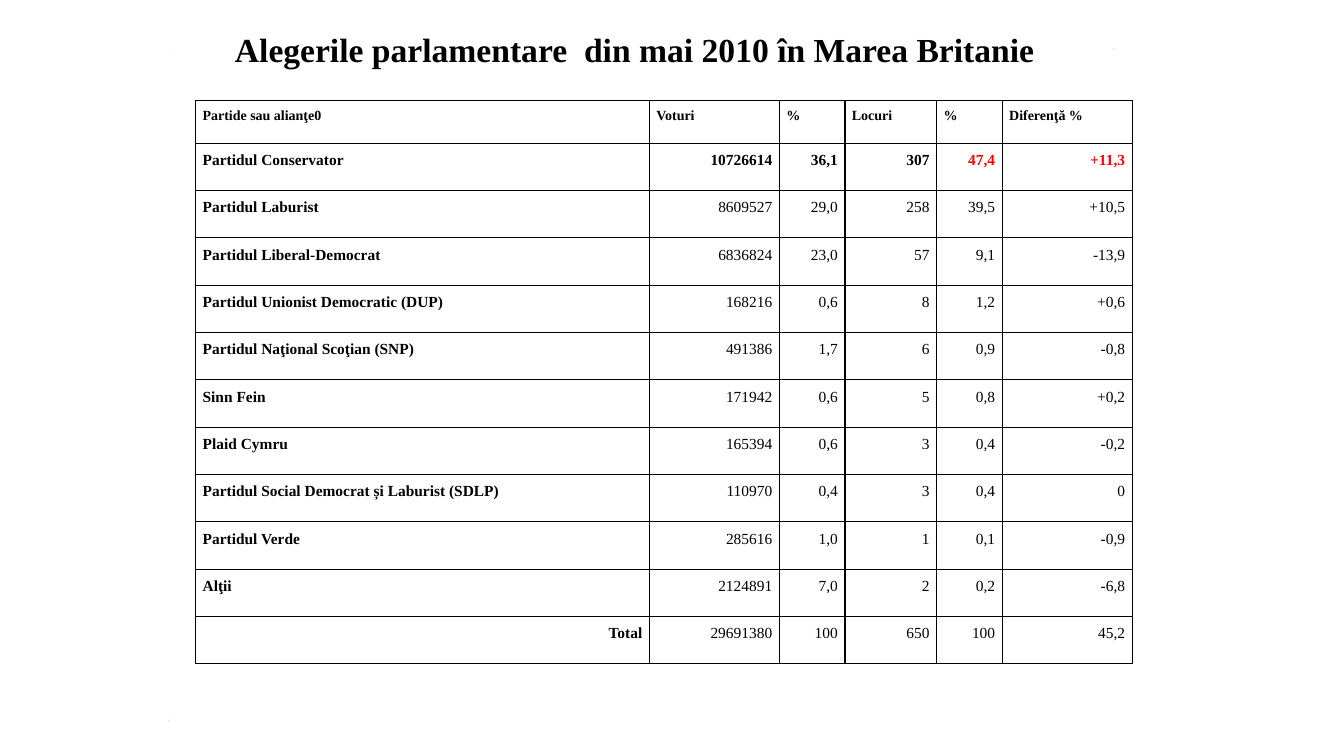
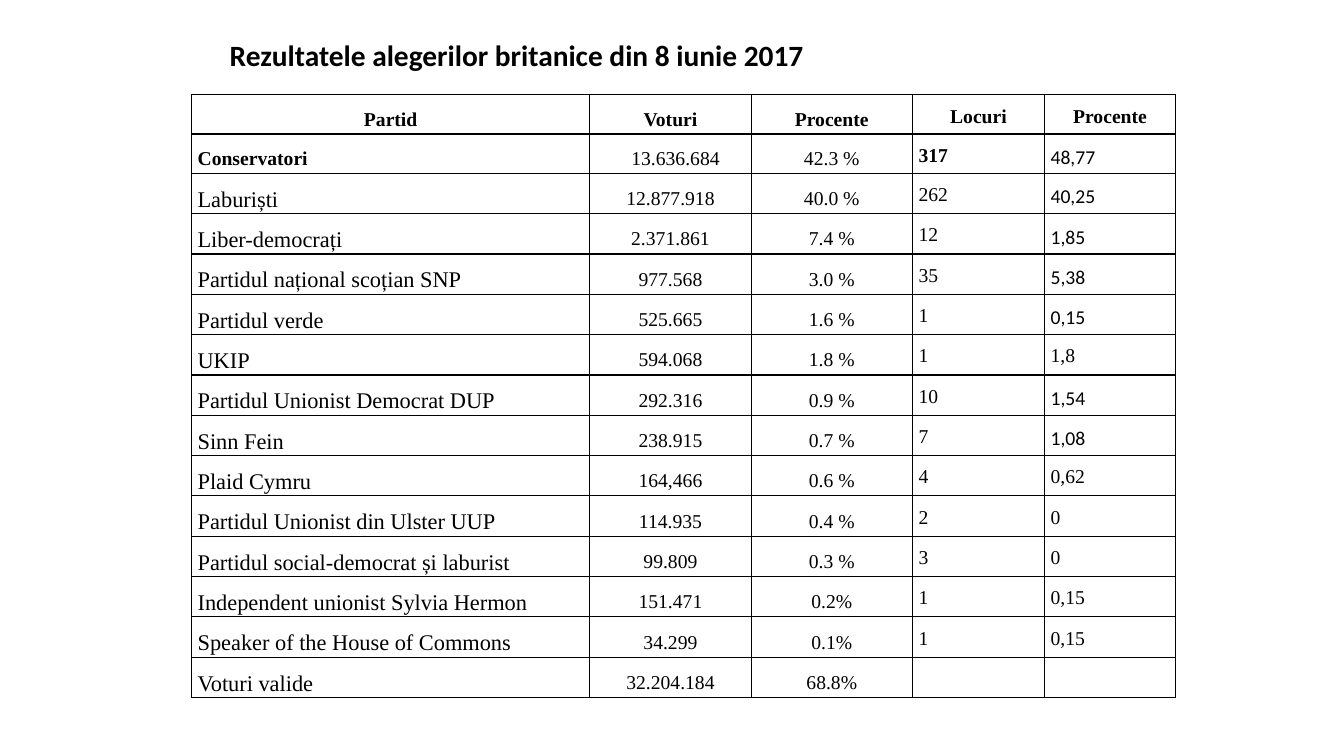
from lxml.etree import SubElement
from pptx import Presentation
from pptx.dml.color import RGBColor
from pptx.enum.shapes import MSO_SHAPE
from pptx.enum.text import MSO_ANCHOR, PP_ALIGN
from pptx.oxml.ns import qn
from pptx.util import Inches, Pt
from dataclasses import dataclass


@dataclass(frozen=True)
class Theme:
    ink: str = "000000"
    accent: str = "FF0000"
    speck: str = "C0C0C0"
    serif: str = "Times New Roman"
    sans: str = "Calibri"
    title_2010: int = 24
    title_2017: int = 21
    header_2010: int = 10
    body_2010: int = 11
    body_2017: int = 14
    party_2017: int = 16
    border: int = 1
    line_spacing: float = 1.5


theme = Theme()


def write(frame, text, size, bold=False, font=theme.serif, color=theme.ink,
          align=PP_ALIGN.LEFT, spacing=theme.line_spacing):
    paragraph = frame.paragraphs[0]
    paragraph.alignment = align
    paragraph.line_spacing = spacing
    run = paragraph.add_run()
    run.text = text
    run.font.size = Pt(size)
    run.font.bold = bold
    run.font.name = font
    run.font.color.rgb = RGBColor.from_string(color)


def add_grid(slide, left, top, widths, heights, inset):
    """Add an unfilled table with thin borders all round."""
    grid = slide.shapes.add_table(
        len(heights), len(widths), Inches(left), Inches(top),
        Inches(sum(widths)), Inches(sum(heights))).table
    grid.first_row = grid.horz_banding = False
    for column, width in zip(grid.columns, widths):
        column.width = Inches(width)
    for row, height in zip(grid.rows, heights):
        row.height = Inches(height)
    for cell in grid.iter_cells():
        cell.margin_left = cell.margin_right = Inches(inset)
        cell.margin_top = cell.margin_bottom = 0
        properties = cell._tc.get_or_add_tcPr()
        for side in ("a:lnL", "a:lnR", "a:lnT", "a:lnB"):
            line = SubElement(properties, qn(side), w=str(Pt(theme.border)))
            fill = SubElement(line, qn("a:solidFill"))
            SubElement(fill, qn("a:srgbClr"), val=theme.ink)
        cell.fill.background()
    return grid


presentation = Presentation()
presentation.slide_width = Inches(13.33)
presentation.slide_height = Inches(7.5)
blank = presentation.slide_layouts[6]

# Slide 1: election of 2010
slide_2010 = presentation.slides.add_slide(blank)
title_2010 = slide_2010.shapes.add_textbox(
    Inches(2.33), Inches(0.29), Inches(8.98), Inches(0.4)).text_frame
title_2010.word_wrap = True
title_2010.margin_left = title_2010.margin_right = 0
title_2010.margin_top = title_2010.margin_bottom = 0
write(title_2010, "Alegerile parlamentare  din mai 2010 în Marea Britanie",
      theme.title_2010, bold=True, spacing=1.0)

# Faint grey specks: a hairline row beside the title and two corner points
hairlines = [(left, 0.48, 0) for left in (1.67, 4.19, 5.95, 7.73, 8.83, 11.03)]
corners = [(1.67, 7.14, 0.01), (11.04, 0.48, 0.01)]
for left, top, height in hairlines + corners:
    speck = slide_2010.shapes.add_shape(
        MSO_SHAPE.RECTANGLE, Inches(left), Inches(top), Inches(0.01), Inches(height))
    speck.shadow.inherit = False
    speck.fill.solid()
    speck.fill.fore_color.rgb = RGBColor.from_string(theme.speck)
    speck.line.fill.background()

# Results of 2010
results_2010 = [
    ("Partide sau alianţe0", "Voturi", "%", "Locuri", "%", "Diferenţă %"),
    ("Partidul Conservator", "10726614", "36,1", "307", "47,4", "+11,3"),
    ("Partidul Laburist", "8609527", "29,0", "258", "39,5", "+10,5"),
    ("Partidul Liberal-Democrat", "6836824", "23,0", "57", "9,1", "-13,9"),
    ("Partidul Unionist Democratic (DUP)", "168216", "0,6", "8", "1,2", "+0,6"),
    ("Partidul Naţional Scoţian (SNP)", "491386", "1,7", "6", "0,9", "-0,8"),
    ("Sinn Fein", "171942", "0,6", "5", "0,8", "+0,2"),
    ("Plaid Cymru", "165394", "0,6", "3", "0,4", "-0,2"),
    ("Partidul Social Democrat și Laburist (SDLP)", "110970", "0,4", "3", "0,4", "0"),
    ("Partidul Verde", "285616", "1,0", "1", "0,1", "-0,9"),
    ("Alţii", "2124891", "7,0", "2", "0,2", "-6,8"),
    ("Total", "29691380", "100", "650", "100", "45,2"),
]
grid_2010 = add_grid(slide_2010, 1.94, 1.0, [4.5, 1.29, 0.65, 0.91, 0.65, 1.29],
                     [0.42] + [0.47] * (len(results_2010) - 1), 0.07)
for r, record in enumerate(results_2010):
    header, winner, total = r == 0, r == 1, r == len(results_2010) - 1
    for c, text in enumerate(record):
        figure = c > 0 and not header
        write(grid_2010.cell(r, c).text_frame, text,
              theme.header_2010 if header else theme.body_2010,
              bold=winner or not figure,
              color=theme.accent if winner and c >= 4 else theme.ink,
              align=PP_ALIGN.RIGHT if figure or total else PP_ALIGN.LEFT)

# Slide 2: election of 2017
slide_2017 = presentation.slides.add_slide(blank)
title_2017 = slide_2017.shapes.add_textbox(
    Inches(2.18), Inches(0.2), Inches(8.62), Inches(0.74)).text_frame
title_2017.word_wrap = True
title_2017.vertical_anchor = MSO_ANCHOR.MIDDLE
write(title_2017, "Rezultatele alegerilor britanice din 8 iunie 2017",
      theme.title_2017, bold=True, font=theme.sans, spacing=0.9)

# Results of 2017
results_2017 = [
    ("Partid", "Voturi", "Procente", "Locuri", "Procente"),
    ("Conservatori", "13.636.684", "42.3 %", "317", "48,77"),
    ("Laburiști", "12.877.918", "40.0 %", "262", "40,25"),
    ("Liber-democrați", "2.371.861", "7.4 %", "12", "1,85"),
    ("Partidul național scoțian SNP", "977.568", "3.0 %", "35", "5,38"),
    ("Partidul verde", "525.665", "1.6 %", "1", "0,15"),
    ("UKIP", "594.068", "1.8 %", "1", "1,8"),
    ("Partidul Unionist Democrat DUP", "292.316", "0.9 %", "10", "1,54"),
    ("Sinn Fein", "238.915", "0.7 %", "7", "1,08"),
    ("Plaid Cymru", "164,466", "0.6 %", "4", "0,62"),
    ("Partidul Unionist din Ulster UUP", "114.935", "0.4 %", "2", "0"),
    ("Partidul social-democrat și laburist", "99.809", "0.3 %", "3", "0"),
    ("Independent unionist Sylvia Hermon", "151.471", "0.2%", "1", "0,15"),
    ("Speaker of the House of Commons", "34.299", "0.1%", "1", "0,15"),
    ("Voturi valide", "32.204.184", "68.8%", "", ""),
]
sans_rows = {1, 2, 3, 4, 5, 7, 8}
column_aligns = [PP_ALIGN.LEFT, PP_ALIGN.CENTER, PP_ALIGN.CENTER,
                 PP_ALIGN.JUSTIFY, PP_ALIGN.JUSTIFY]
grid_2017 = add_grid(slide_2017, 1.9, 0.94, [3.95, 1.6, 1.6, 1.31, 1.3],
                     [0.39] * 2 + [0.4] * (len(results_2017) - 2), 0.06)
for r, record in enumerate(results_2017):
    header, winner = r == 0, r == 1
    for c, text in enumerate(record):
        if not text:
            continue
        cell = grid_2017.cell(r, c)
        if c < 3:
            cell.vertical_anchor = MSO_ANCHOR.MIDDLE
        write(cell.text_frame, text,
              theme.party_2017 if c == 0 and r > 1 else theme.body_2017,
              bold=header or (winner and c in (0, 3)),
              font=theme.sans if c == 4 and r in sans_rows else theme.serif,
              align=PP_ALIGN.CENTER if header else column_aligns[c])

# The winner's votes sit slightly right of centre
grid_2017.cell(1, 1).margin_left = Inches(0.16)

presentation.save("out.pptx")
